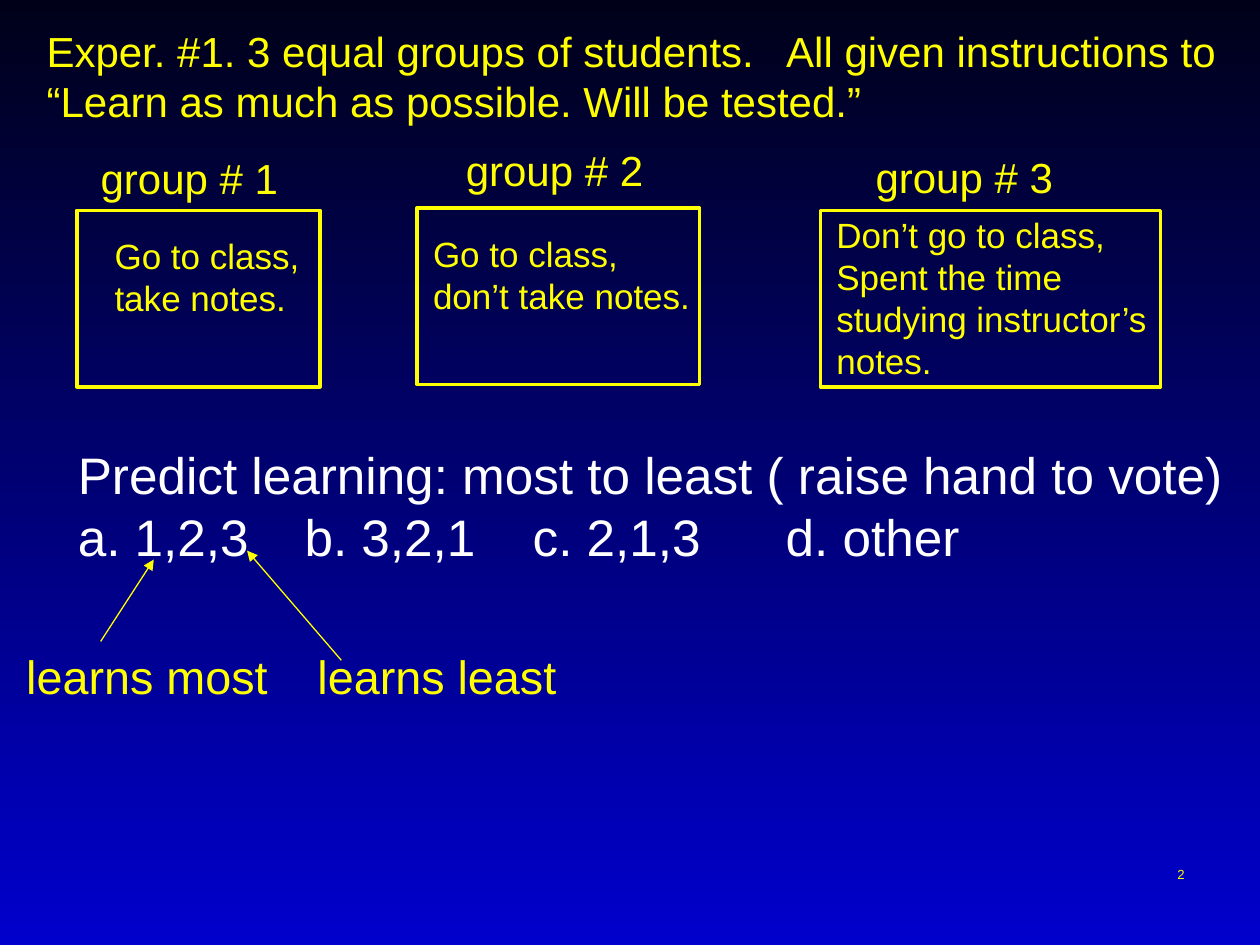
from lxml import etree
from pptx import Presentation
from pptx.dml.color import RGBColor
from pptx.enum import shapes, text
from pptx.oxml.ns import qn
from pptx.util import Cm, Pt

COLORS = {"top": "000118", "bottom": "0000CC", "yellow": "FFFF00", "white": "FFFFFF"}
FONT = "Arial"
BOX_HEIGHT = 3.56

# Positions are (left, top, width, height) in cm; tabs are measured from the text edge.
TEXTS = [
    dict(lines=["Exper. #1. 3 equal groups of students.\tAll given instructions to "
                "“Learn as much as possible. Will be tested.”"],
         at=(0.69, 0.38, 24.38, 2.31), size=24, tabs=[14.91]),
    dict(lines=["Predict learning: most to least ( raise hand to vote)",
                "a. 1,2,3\tb. 3,2,1\tc. 2,1,3\td. other"],
         at=(1.32, 8.81, 24.08, 2.77), size=29.3, color="white", tabs=[4.57, 9.17, 14.27]),
    dict(lines=["learns most\tlearns least"],
         at=(0.28, 12.93, 11.35, 1.4), size=26.7, tabs=[5.87]),
    dict(lines=["2"], at=(18.21, 17.35, 5.92, 1.27), size=7.5, align=text.PP_ALIGN.RIGHT),
]

GROUPS = [
    dict(label="group # 1", label_at=(1.78, 2.95), box=(1.55, 4.24, 4.9),
         lines=["Go to class,", "take notes."], text_at=(2.06, 4.6, 5.13, 1.96)),
    dict(label="group # 2", label_at=(9.14, 2.79), box=(8.41, 4.19, 5.69),
         lines=["Go to class, don’t take notes."], text_at=(8.48, 4.57, 5.87, 1.96)),
    dict(label="group # 3", label_at=(17.4, 2.92), box=(16.54, 4.24, 6.86),
         lines=["Don’t go to class, Spent the time studying instructor’s notes."],
         text_at=(16.61, 4.17, 7.16, 3.68)),
]

ARROWS = [((2.03, 12.93), (3.1, 11.28)), ((6.88, 13.31), (4.98, 11.1))]


def rgb(name):
    return RGBColor.from_string(COLORS[name])


def cm(values):
    return [Cm(v) for v in values]


def add_text(slide, lines, at, size, color="yellow", align=None, tabs=(), wrap=True):
    tf = slide.shapes.add_textbox(*cm(at)).text_frame
    tf.word_wrap = wrap
    tf.text = "\n".join(lines)
    for p in tf.paragraphs:
        p.alignment = align
        if "\t" in p.text:
            stops = etree.SubElement(p._p.get_or_add_pPr(), qn("a:tabLst"))
            for pos in tabs:
                etree.SubElement(stops, qn("a:tab"), pos=str(Cm(pos)), algn="l")
        for r in p.runs:
            r.font.name = FONT
            r.font.size = Pt(size)
            r.font.color.rgb = rgb(color)


def add_group(slide, label, label_at, box, lines, text_at):
    """Outlined box with its instructions inside and its label above."""
    sp = slide.shapes.add_shape(shapes.MSO_SHAPE.RECTANGLE, *cm((*box, BOX_HEIGHT)))
    sp.shadow.inherit = False
    sp.fill.background()
    sp.line.color.rgb = rgb("yellow")
    sp.line.width = Pt(2)
    add_text(slide, lines, text_at, 20)
    add_text(slide, [label], (*label_at, 4.14, 1.27), 24, wrap=False)


def add_arrow(slide, start, end):
    line = slide.shapes.add_connector(shapes.MSO_CONNECTOR.STRAIGHT, *cm(start + end))
    line.line.color.rgb = rgb("yellow")
    line.line.width = Pt(0.75)
    etree.SubElement(line.line._get_or_add_ln(), qn("a:tailEnd"), type="triangle")
    etree.SubElement(line._element.spPr, qn("a:effectLst"))


def main():
    prs = Presentation()
    prs.slide_width, prs.slide_height = Cm(25.4), Cm(19.05)
    slide = prs.slides.add_slide(prs.slide_layouts[6])

    fill = slide.background.fill
    fill.gradient()
    fill.gradient_angle = 270
    for stop, name in zip(fill.gradient_stops, ("top", "bottom")):
        stop.color.rgb = rgb(name)

    for group in GROUPS:
        add_group(slide, **group)
    for item in TEXTS:
        add_text(slide, **item)
    for start, end in ARROWS:
        add_arrow(slide, start, end)

    prs.save("out.pptx")


if __name__ == "__main__":
    main()
